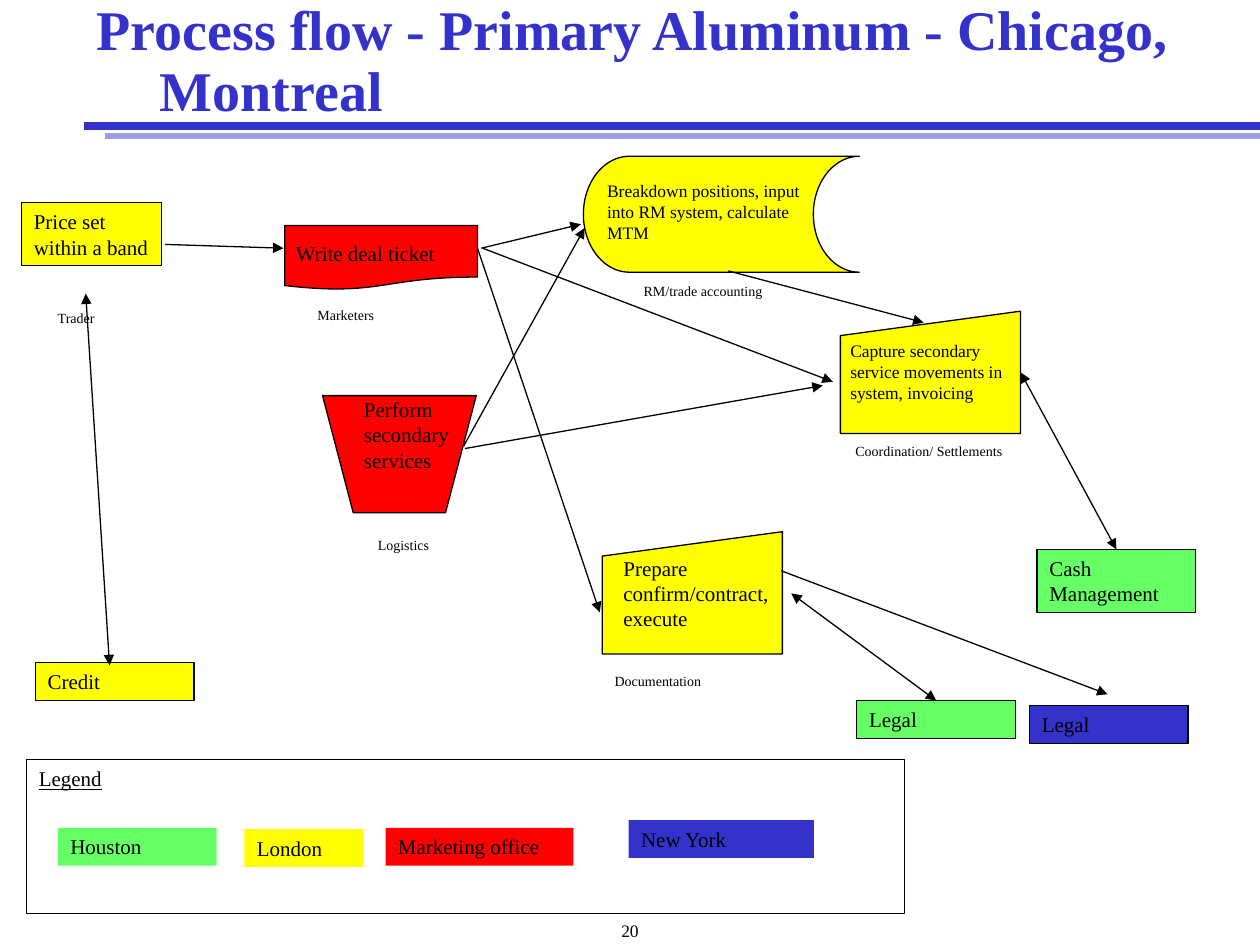
from dataclasses import dataclass
from typing import Optional

from lxml.etree import SubElement
from pptx import Presentation
from pptx.dml.color import RGBColor
from pptx.enum.shapes import MSO_CONNECTOR as Line, MSO_SHAPE as Shape
from pptx.enum.text import MSO_ANCHOR as Anchor, PP_ALIGN as Align
from pptx.oxml.ns import qn
from pptx.util import Inches, Pt

BLACK = RGBColor(0x00, 0x00, 0x00)
BLUE = RGBColor(0x33, 0x33, 0xCC)
PALE_BLUE = RGBColor(0x9D, 0x9D, 0xE7)
GREEN = RGBColor(0x66, 0xFF, 0x66)
RED = RGBColor(0xFF, 0x00, 0x00)
YELLOW = RGBColor(0xFF, 0xFF, 0x00)

FONT = "Times New Roman"
COLUMNS, ROWS = 100, 75
WIDTH, HEIGHT = Inches(10), Inches(7.5)
TOP, RIGHT = 0, 3


def across(columns: float) -> int:
    return round(WIDTH * columns / COLUMNS)


def down(rows: float) -> int:
    return round(HEIGHT * rows / ROWS)


@dataclass(frozen=True)
class Area:
    """A place on the grid, in columns and rows."""
    left: float
    top: float
    width: float
    height: float

    def lengths(self) -> tuple[int, int, int, int]:
        return across(self.left), down(self.top), across(self.width), down(self.height)


@dataclass(frozen=True)
class Block:
    area: Area
    fill: Optional[RGBColor]
    text: str = ""
    outlined: bool = True
    kind: Shape = Shape.RECTANGLE
    underline: bool = False


@dataclass(frozen=True)
class Label:
    area: Area
    text: str
    size: float = 8


@dataclass(frozen=True)
class Arrow:
    start: tuple[float, float]
    end: tuple[float, float]
    double: bool = False
    start_block: Optional[str] = None  # joined at its right side
    end_block: Optional[str] = None  # joined at its top side


BLOCKS = {
    "houston": Block(Area(4.6, 65.7, 12.6, 3), GREEN, "Houston", False),
    "marketing office": Block(Area(30.6, 65.7, 14.9, 3), RED, "Marketing office", False),
    "london": Block(Area(19.4, 65.8, 9.4, 3), YELLOW, "London", False),
    "new york": Block(Area(49.9, 65.1, 14.7, 3), BLUE, "New York", False),
    "legend": Block(Area(2.1, 60.3, 69.7, 12.2), None, "Legend", underline=True),
    "price": Block(Area(1.7, 16.1, 11.1, 5), YELLOW, "Price set within a band"),
    "credit": Block(Area(2.8, 52.6, 12.6, 3), YELLOW, "Credit"),
    "ticket": Block(Area(22.6, 17.9, 15.3, 5.1), RED, kind=Shape.FLOWCHART_DOCUMENT),
    "services": Block(Area(25.6, 31.4, 12.2, 9.3), RED,
                      kind=Shape.FLOWCHART_MANUAL_OPERATION),
    "confirm": Block(Area(47.8, 42.2, 14.3, 9.7), YELLOW,
                     kind=Shape.FLOWCHART_MANUAL_INPUT),
    "capture": Block(Area(66.7, 24.7, 14.3, 9.7), YELLOW,
                     kind=Shape.FLOWCHART_MANUAL_INPUT),
    "positions": Block(Area(46.3, 12.4, 21.9, 9.2), YELLOW,
                       kind=Shape.FLOWCHART_STORED_DATA),
    "houston legal": Block(Area(68, 55.6, 12.6, 3), GREEN, "Legal"),
    "cash": Block(Area(82.3, 43.6, 12.6, 5), GREEN, "Cash Management"),
    "new york legal": Block(Area(81.7, 56, 12.6, 3), BLUE, "Legal"),
}

LABELS = [
    Label(Area(22.5, 18.6, 19.3, 3), "Write deal ticket", 12),
    Label(Area(27.9, 31, 9, 7), "Perform secondary services", 12),
    Label(Area(48.5, 43.6, 14.3, 7), "Prepare confirm/contract, execute", 12),
    Label(Area(66.5, 26.5, 14.3, 6),
          "Capture secondary service movements in system, invoicing", 10),
    Label(Area(47.2, 13.8, 18.5, 6),
          "Breakdown positions, input into RM system, calculate MTM", 10),
    Label(Area(50.1, 21.9, 14.6, 2.4), "RM/trade accounting"),
    Label(Area(47.8, 52.9, 14.6, 2.4), "Documentation"),
    Label(Area(66.9, 34.6, 14.6, 2.4), "Coordination/ Settlements"),
    Label(Area(29, 42.1, 7.4, 2.4), "Logistics"),
    Label(Area(24.2, 23.8, 7.2, 2.4), "Marketers"),
    Label(Area(3.6, 24.1, 7.2, 2.4), "Trader"),
]

ARROWS = [
    Arrow((6.8, 23.3), (8.7, 52.8), double=True),
    Arrow((13.1, 19.4), (22.5, 19.7)),
    Arrow((38.2, 19.7), (46.1, 17.8)),
    Arrow((37.9, 19.7), (47.6, 48.6)),
    Arrow((38.3, 19.7), (66.1, 30.3)),
    Arrow((36.9, 35.6), (65.3, 30.6)),
    Arrow((36.8, 35.4), (46.4, 18.1)),
    Arrow((57.8, 21.5), (73.3, 25.6)),
    Arrow((62, 45.3), (87.9, 55.1)),
    Arrow((62.8, 47.1), (74.3, 55.6), double=True, end_block="houston legal"),
    Arrow((81, 29.6), (88.6, 43.6), double=True, start_block="capture", end_block="cash"),
]


def write(shape, text: str, size: float, color: RGBColor = BLACK):
    """Fill the shape's text frame from the top left and return the paragraph."""
    frame = shape.text_frame
    frame.word_wrap = True
    frame.vertical_anchor = Anchor.TOP
    para = frame.paragraphs[0]
    para.text = text
    para.alignment = Align.LEFT
    para.font.name = FONT
    para.font.size = Pt(size)
    para.font.color.rgb = color
    return para


def add_block(page, block: Block):
    shape = page.shapes.add_shape(block.kind, *block.area.lengths())
    shape.shadow.inherit = False
    if block.fill is None:
        shape.fill.background()
    else:
        shape.fill.solid()
        shape.fill.fore_color.rgb = block.fill
    if block.outlined:
        shape.line.color.rgb = BLACK
        shape.line.width = Pt(0.75)
    else:
        shape.line.fill.background()
    if block.text:
        write(shape, block.text, 12).font.underline = block.underline
    return shape


def add_label(page, label: Label, color: RGBColor = BLACK):
    box = page.shapes.add_textbox(*label.area.lengths())
    return box, write(box, label.text, label.size, color)


def add_line(page, start: tuple[float, float], end: tuple[float, float],
             color: RGBColor = BLACK, width: float = 0.75):
    line = page.shapes.add_connector(
        Line.STRAIGHT, across(start[0]), down(start[1]), across(end[0]), down(end[1]))
    line.line.color.rgb = color
    line.line.width = Pt(width)
    SubElement(line._element.spPr, qn("a:effectLst"))
    return line


def add_arrow(page, arrow: Arrow, shapes: dict) -> None:
    line = add_line(page, arrow.start, arrow.end)
    outline = line.line._get_or_add_ln()
    for tag in ("a:headEnd", "a:tailEnd") if arrow.double else ("a:tailEnd",):
        SubElement(outline, qn(tag), type="triangle")
    if arrow.start_block:
        line.begin_connect(shapes[arrow.start_block], RIGHT)
    if arrow.end_block:
        line.end_connect(shapes[arrow.end_block], TOP)


def add_title(page) -> None:
    add_line(page, (COLUMNS, 10), (6.7, 10), BLUE, 4.5)
    add_line(page, (COLUMNS, 10.8), (8.3, 10.8), PALE_BLUE, 3)
    title = Label(Area(6.7, 0, 90.8, 10),
                  "Process flow - Primary Aluminum - Chicago, Montreal", 32)
    box, para = add_label(page, title, BLUE)
    box.text_frame.vertical_anchor = Anchor.MIDDLE
    para.font.bold = True
    para.line_spacing = 0.9
    hanging = across(5)
    properties = para._p.get_or_add_pPr()
    properties.set("marL", str(hanging))
    properties.set("indent", str(-hanging))


def main() -> None:
    deck = Presentation()
    deck.slide_width, deck.slide_height = WIDTH, HEIGHT
    page = deck.slides.add_slide(deck.slide_layouts[6])
    add_title(page)
    shapes = {name: add_block(page, block) for name, block in BLOCKS.items()}
    for label in LABELS:
        add_label(page, label)
    for arrow in ARROWS:
        add_arrow(page, arrow, shapes)
    _, number = add_label(page, Label(Area(0, 72.5, COLUMNS, 1.7), "20", 10))
    number.alignment = Align.CENTER
    deck.save("out.pptx")


if __name__ == "__main__":
    main()
